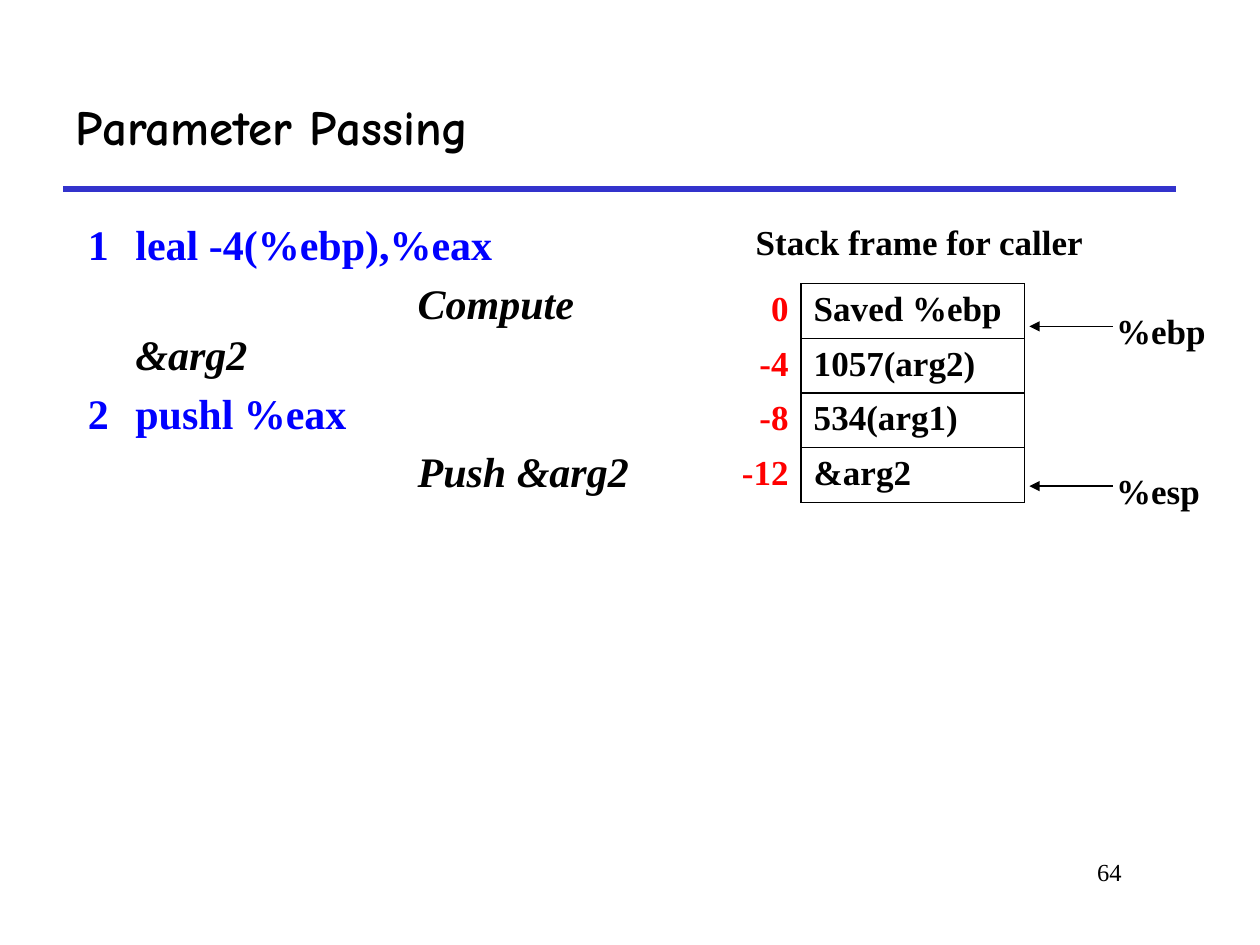
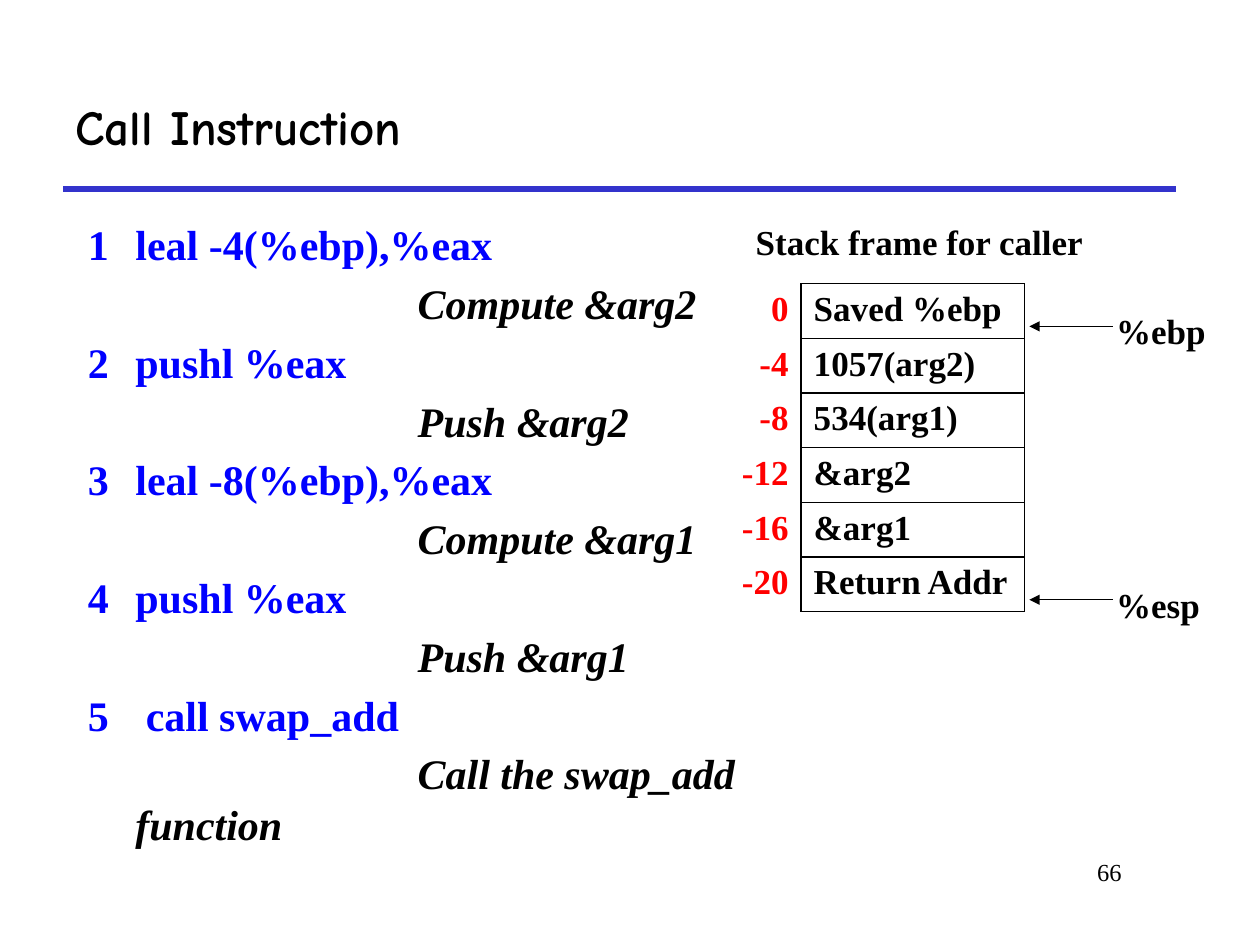
import pptx
import pptx.dml.color
import pptx.enum.shapes
import pptx.enum.text
import pptx.oxml
import pptx.oxml.ns
import pptx.util
from lxml import etree

Cm = pptx.util.Cm
Pt = pptx.util.Pt
ALIGN = pptx.enum.text.PP_ALIGN

BODY_FONT = "Times New Roman"
TITLE_FONT = "Comic Neue"
BLACK, BLUE, RED, RULE_BLUE = "000000", "0000FF", "FF0000", "3333CC"

ROW_HEIGHT = 1.1
OFFSET_WIDTH, VALUE_WIDTH = 1.55, 4.5
HANGING, COMMENT_INDENT = 0.96, 5.69

CODE = [
    ("1\tleal -4(%ebp),%eax", "Compute &arg2"),
    ("2\tpushl %eax", "Push &arg2"),
    ("3\tleal -8(%ebp),%eax", "Compute &arg1"),
    ("4\tpushl %eax", "Push &arg1"),
    ("5\t call swap_add", "Call the swap_add function"),
]
STACK = ["Saved %ebp", "1057(arg2)", "534(arg1)", "&arg2", "&arg1", "Return Addr"]


def color(hex_string):
    """Turn a hex string into a colour."""
    return pptx.dml.color.RGBColor.from_string(hex_string)


def format_paragraph(paragraph, size, hex_string=BLACK, bold=True, italic=False,
                     align=ALIGN.LEFT, font=BODY_FONT):
    """Align a paragraph and format its runs."""
    paragraph.alignment = align
    for run in paragraph.runs:
        run.font.name = font
        run.font.size = Pt(size)
        run.font.bold = bold
        run.font.italic = italic
        run.font.color.rgb = color(hex_string)


def add_text(slide, left, top, width, height, text, size, **style):
    """Add a one-paragraph text box."""
    shape = slide.shapes.add_textbox(Cm(left), Cm(top), Cm(width), Cm(height))
    shape.text_frame.word_wrap = True
    shape.text_frame.text = text
    format_paragraph(shape.text_frame.paragraphs[0], size, **style)


def add_line(slide, start, end, hex_string, width, arrow=False):
    """Draw a straight line, with an arrowhead at its end if wanted."""
    connector = slide.shapes.add_connector(
        pptx.enum.shapes.MSO_CONNECTOR.STRAIGHT, *map(Cm, start + end))
    connector.line.color.rgb = color(hex_string)
    connector.line.width = Pt(width)
    if arrow:
        etree.SubElement(connector.line._get_or_add_ln(),
                         pptx.oxml.ns.qn("a:tailEnd"), type="triangle")
    etree.SubElement(connector._element.spPr, pptx.oxml.ns.qn("a:effectLst"))


def add_frame(slide, title, number):
    """Place the title, the rule below it and the page number."""
    shape = slide.shapes.title
    shape.left, shape.top, shape.width, shape.height = map(Cm, (1.27, 1.27, 22.43, 2.54))
    shape.text_frame.text = title
    shape.text_frame.auto_size = pptx.enum.text.MSO_AUTO_SIZE.NONE
    shape.text_frame.vertical_anchor = pptx.enum.text.MSO_ANCHOR.MIDDLE
    format_paragraph(shape.text_frame.paragraphs[0], 28, font=TITLE_FONT)
    add_line(slide, (1.27, 3.81), (23.7, 3.81), RULE_BLUE, 3)
    add_text(slide, 19.25, 17.15, 3.61, 1.27, str(number), 14,
             bold=False, align=ALIGN.RIGHT)


def add_code(slide, left, top, width, steps):
    """List numbered instructions, each with an indented comment."""
    shape = slide.shapes.add_textbox(Cm(left), Cm(top), Cm(width), Cm(2.48 * len(steps)))
    text_frame = shape.text_frame
    text_frame.word_wrap = True
    text_frame.text = "\n".join(line for step in steps for line in step)
    for index, paragraph in enumerate(text_frame.paragraphs):
        is_comment = index % 2 == 1
        indent = COMMENT_INDENT if is_comment else -HANGING
        properties = paragraph._p.get_or_add_pPr()
        properties.set("marL", str(Cm(HANGING)))
        properties.set("indent", str(Cm(indent)))
        paragraph.line_spacing = Pt(29)
        if index:
            paragraph.space_before = Pt(4.6)
        format_paragraph(paragraph, 24, BLACK if is_comment else BLUE, italic=is_comment)


def set_borders(cell, visible_sides):
    """Draw black borders on the given sides and none on the others."""
    properties = cell._tc.get_or_add_tcPr()
    for side in "LRTB":
        paint = ('<a:solidFill><a:srgbClr val="%s"/></a:solidFill>' % BLACK
                 if side in visible_sides else "<a:noFill/>")
        properties.append(pptx.oxml.parse_xml(
            '<a:ln%s %s w="%d">%s</a:ln%s>'
            % (side, pptx.oxml.ns.nsdecls("a"), Pt(1), paint, side)))


def add_stack(slide, left, top, values):
    """Draw the captioned stack table with byte offsets on its left."""
    add_text(slide, left + 0.2, top - 1.4, 7.47, 1.1, "Stack frame for caller", 20,
             align=ALIGN.CENTER)
    table = slide.shapes.add_table(
        len(values), 2, Cm(left), Cm(top), Cm(OFFSET_WIDTH + VALUE_WIDTH),
        Cm(ROW_HEIGHT * len(values))).table
    table.first_row = table.horz_banding = False
    table.columns[0].width, table.columns[1].width = Cm(OFFSET_WIDTH), Cm(VALUE_WIDTH)
    for index, value in enumerate(values):
        table.rows[index].height = Cm(ROW_HEIGHT)
        columns = [(str(-4 * index), RED, ALIGN.RIGHT, "R"),
                   (value, BLACK, ALIGN.LEFT, "LRTB")]
        for column, (text, hex_string, align, sides) in enumerate(columns):
            cell = table.cell(index, column)
            cell.text_frame.text = text
            format_paragraph(cell.text_frame.paragraphs[0], 20, hex_string, align=align)
            set_borders(cell, sides)
            cell.fill.background()


def add_pointer(slide, left, middle, register):
    """Point an arrow from a register name to the stack."""
    add_text(slide, left + 1.5, middle - 0.46, 2.4, 1.1, register, 20)
    add_line(slide, (left + 1.68, middle), (left, middle), BLACK, 0.75, arrow=True)


def add_stack_slide(presentation, title, number, steps, code_width, values, esp_middle):
    """Build a slide with code on the left and the stack on the right."""
    slide = presentation.slides.add_slide(presentation.slide_layouts[5])
    add_frame(slide, title, number)
    add_stack(slide, 14.6, 5.72, values)
    add_code(slide, 1.52, 4.28, code_width, steps)
    add_pointer(slide, 20.75, 6.58, "%ebp")
    add_pointer(slide, 20.75, esp_middle, "%esp")


def main():
    """Build and save the presentation."""
    presentation = pptx.Presentation()
    presentation.slide_width, presentation.slide_height = Cm(25.4), Cm(19.05)
    add_stack_slide(presentation, "Parameter Passing", 64, CODE[:2], 11.96, STACK[:4], 9.8)
    add_stack_slide(presentation, "Call Instruction", 66, CODE, 15.95, STACK, 12.09)
    presentation.save("out.pptx")


if __name__ == "__main__":
    main()
